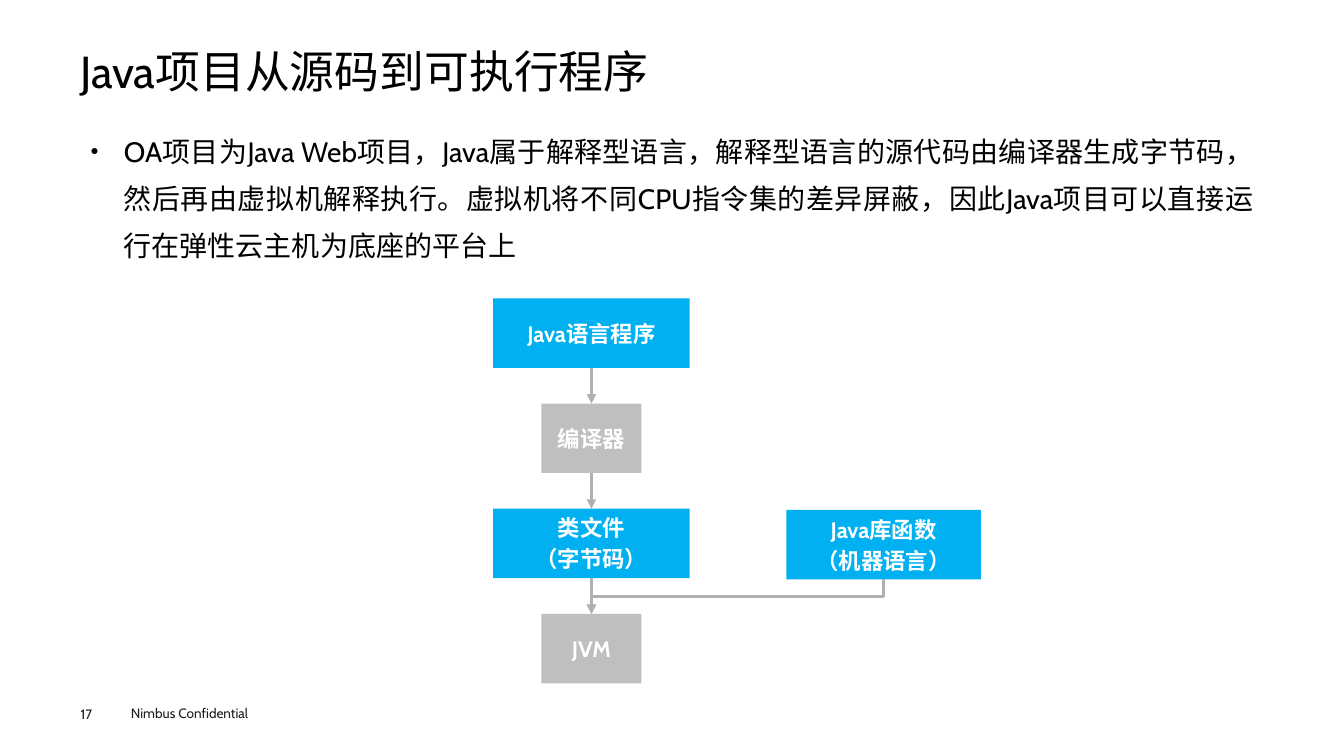
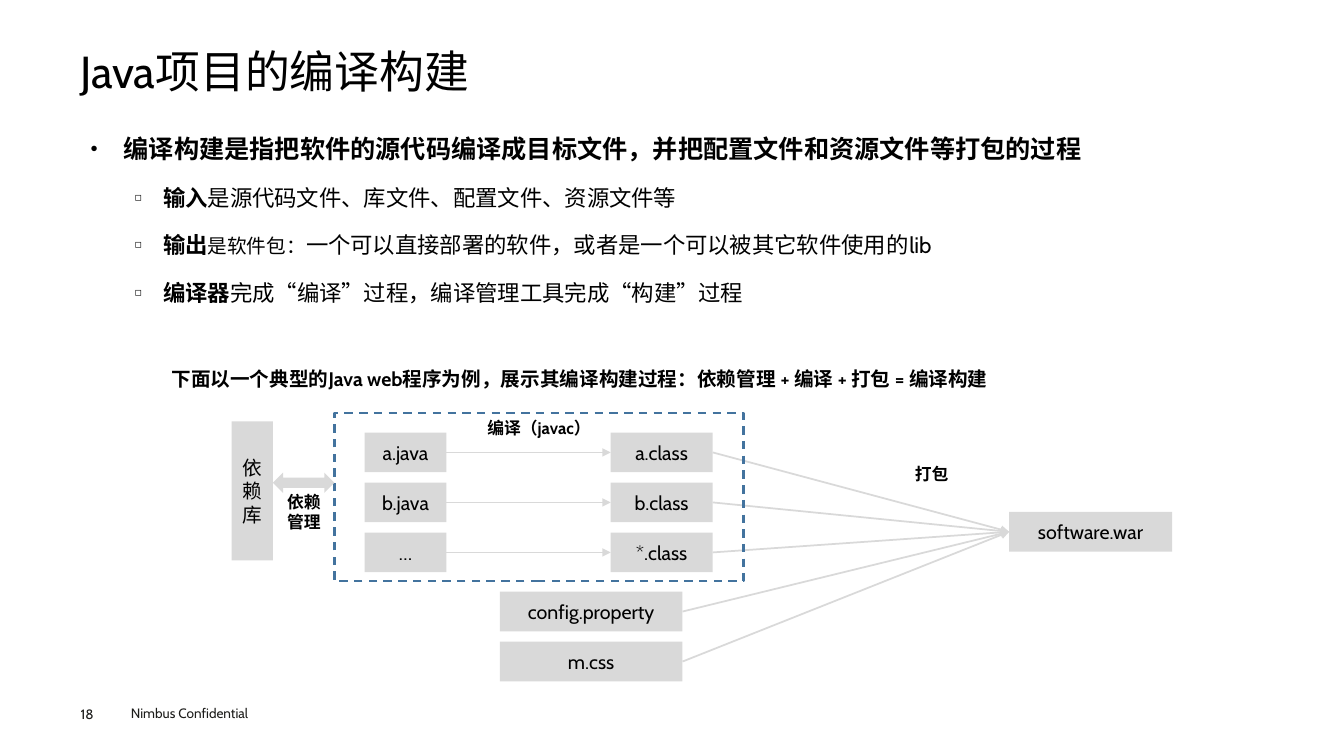
from dataclasses import dataclass
from pptx import Presentation
from pptx import util as u
from pptx.dml.color import RGBColor
from pptx.enum import dml, lang, shapes, text
from pptx.oxml import parse_xml
from pptx.oxml.ns import nsdecls

Cm, Pt = u.Cm, u.Pt
LEFT, MID = text.PP_ALIGN.LEFT, text.PP_ALIGN.CENTER
FULL = text.PP_ALIGN.JUSTIFY
TOP, CORE = text.MSO_ANCHOR.TOP, text.MSO_ANCHOR.MIDDLE
RECT = shapes.MSO_SHAPE.RECTANGLE
ELBOW, LINE = shapes.MSO_CONNECTOR.ELBOW, shapes.MSO_CONNECTOR.STRAIGHT


@dataclass(frozen=True)
class Theme:
    font: str = "Cabin"
    ink: str = "000000"
    foot: str = "1D1D1B"
    white: str = "FFFFFF"
    blue: str = "00B0F0"
    gray: str = "BFBFBF"
    wire: str = "B0B0B0"
    pale: str = "D9D9D9"
    dash: str = "43739E"
    title: float = 32
    lead: float = 20
    head: float = 18
    body: float = 16
    small: float = 14
    label: float = 12
    page: float = 9.7


T = Theme()
# Per list level: bullet, left indent, hanging indent, space before
LEVELS = [("●", 0.84, 0.84, 7.9), ("◻", 1.83, 0.71, 7.2)]


def tint(code):
    return RGBColor.from_string(code)


def write(para, words, size, color=T.ink, bold=False):
    run = para.add_run()
    run.text = words
    font = run.font
    font.name, font.size, font.bold = T.font, Pt(size), bold
    font.color.rgb = tint(color)
    font.language_id = lang.MSO_LANGUAGE_ID.SIMPLIFIED_CHINESE


def fill_text(frame, lines, size, color=T.ink, bold=False, align=MID,
              anchor=CORE, gap=0):
    """Put one paragraph per line into the frame."""
    frame.word_wrap = True
    frame.vertical_anchor = anchor
    for i, line in enumerate(lines):
        para = frame.add_paragraph() if i else frame.paragraphs[0]
        para.alignment = align
        if i and gap:
            para.space_before = Pt(gap)
        write(para, line, size, color, bold)


def add_text(slide, box, words="", size=T.body, inset=False, **style):
    frame = slide.shapes.add_textbox(*map(Cm, box)).text_frame
    frame.word_wrap = True
    if not inset:
        frame.margin_left = frame.margin_right = 0
        frame.margin_top = frame.margin_bottom = 0
    if words:
        fill_text(frame, [words], size, **style)
    return frame


def add_box(slide, box, fill=None, kind=RECT):
    shape = slide.shapes.add_shape(kind, *map(Cm, box))
    shape.shadow.inherit = False
    shape.line.fill.background()
    if fill:
        shape.fill.solid()
        shape.fill.fore_color.rgb = tint(fill)
    else:
        shape.fill.background()
    return shape


def add_arrow(slide, start, end, color, width, kind=LINE):
    link = slide.shapes.add_connector(kind, *map(Cm, start + end))
    link.line.color.rgb = tint(color)
    link.line.width = Pt(width)
    link.line._get_or_add_ln().append(
        parse_xml(f'<a:tailEnd {nsdecls("a")} type="triangle"/>'))
    link._element.spPr.append(parse_xml(f'<a:effectLst {nsdecls("a")}/>'))
    return link


def add_bend(slide, start, end, color, width):
    """Elbow arrow that leaves downwards and ends to the lower left."""
    (x1, y1), (x2, y2) = start, end
    mid_x, mid_y = (x1 + x2) / 2, (y1 + y2) / 2
    half_w, half_h = (y2 - y1) / 2, (x1 - x2) / 2
    link = add_arrow(slide, (mid_x - half_w, mid_y - half_h),
                     (mid_x + half_w, mid_y + half_h), color, width, ELBOW)
    link._element.spPr.xfrm.set("rot", str(90 * 60000))


def add_page(deck, number, title):
    """Blank slide with the shared title, page number and footer."""
    slide = deck.slides.add_slide(deck.slide_layouts[6])
    foot = dict(size=T.page, color=T.foot, align=LEFT, anchor=TOP)
    add_text(slide, (3.05, 17.65, 5, 0.69), "Nimbus Confidential",
             inset=True, **foot)
    add_text(slide, (2.03, 17.78, 1.4, 0.41), str(number), **foot)
    head = add_text(slide, (2.03, 1.25, 29.8, 1.35), title, T.title,
                    align=LEFT, anchor=TOP)
    head.paragraphs[0].line_spacing = 0.9
    return slide


def add_list(slide, box, items):
    """Bulleted text; an item is a level and its (words, size, bold) runs."""
    frame = add_text(slide, box, inset=True)
    for i, (level, runs) in enumerate(items):
        mark, left, hang, gap = LEVELS[level]
        para = frame.add_paragraph() if i else frame.paragraphs[0]
        props = para._p.get_or_add_pPr()
        props.set("marL", str(Cm(left)))
        props.set("indent", str(-Cm(hang)))
        for tag in ('buSzPct {} val="50000"', 'buFont {} typeface="Arial"',
                    f'buChar {{}} char="{mark}"'):
            props.append(parse_xml(f'<a:{tag.format(nsdecls("a"))}/>'))
        para.level = level
        para.alignment = FULL
        para.line_spacing = 1.4
        if i:
            para.space_before = Pt(gap)
        for words, size, bold in runs:
            write(para, words, size, bold=bold)


def draw_flow(slide, left, top):
    """Column of steps, with a library joining the last arrow."""
    wide, slim, high, pitch = 4.95, 2.52, 1.75, 2.65
    axis = left + wide / 2
    steps = [(["Java语言程序"], wide, T.blue), (["编译器"], slim, T.gray),
             (["类文件", "（字节码）"], wide, T.blue), (["JVM"], slim, T.gray)]
    side = left + 7.39, top + 2 * pitch + 0.03

    def add_step(x, y, width, lines, fill):
        shape = add_box(slide, (x, y, width, high), fill)
        fill_text(shape.text_frame, lines, T.body, T.white, True, gap=3)

    for i, (lines, width, fill) in enumerate(steps):
        y = top + i * pitch
        add_step(axis - width / 2, y, width, lines, fill)
        if i:
            add_arrow(slide, (axis, y - pitch + high), (axis, y), T.wire, 2.25)
    add_step(*side, 4.9, ["Java库函数", "（机器语言）"], T.blue)
    add_bend(slide, (side[0] + 2.45, side[1] + high),
             (axis, top + 3 * pitch), T.wire, 2.25)


def draw_build(slide, left, top):
    """Sources compiled to classes, then packed with the resources."""
    high, pitch = 1, 1.26

    def place(x, y, w, h):
        return left + x, top + y, w, h

    def add_file(x, y, width, words, tall=high):
        box = place(x, y, width, tall)
        fill_text(add_box(slide, box, T.pale).text_frame, [words], T.small)
        return box

    def link(start, goal):
        """Join the right side of one box to the left side of another."""
        add_arrow(slide, (start[0] + start[2], start[1] + start[3] / 2),
                  (goal[0], goal[1] + goal[3] / 2), T.pale, 1.25)

    head = add_text(slide, place(0, 0, 22.68, 1),
                    "下面以一个典型的Java web程序为例，展示其编译构建过程："
                    "依赖管理 + 编译 + 打包 = 编译构建",
                    T.small, bold=True, align=LEFT)
    head.paragraphs[0].line_spacing = 1.5

    goal = add_file(21.11, 4.01, 4.11, "software.war")
    parts = []
    pairs = [("a.java", "a.class"), ("b.java", "b.class"), ("…", "*.class")]
    for i, (source, output) in enumerate(pairs):
        y = 2.01 + i * pitch
        start = add_file(4.87, y, 2.06, source)
        parts.append(add_file(11.07, y, 2.57, output))
        link(start, parts[-1])
    for i, name in enumerate(["config.property", "m.css"]):
        parts.append(add_file(8.28, 6.02 + i * pitch, 4.6, name))
    for part in parts:
        link(part, goal)

    frame = add_box(slide, place(4.11, 1.52, 10.31, 4.24))
    frame.line.color.rgb = tint(T.dash)
    frame.line.width = Pt(1.5)
    frame.line.dash_style = dml.MSO_LINE.DASH
    fill_text(frame.text_frame, ["编译（javac）"], T.label, bold=True,
              anchor=TOP)

    add_file(1.52, 1.73, 1.04, "依赖库", 3.5)
    add_box(slide, place(2.56, 3.02, 1.55, 0.51), T.pale,
            shapes.MSO_SHAPE.LEFT_RIGHT_ARROW)
    for box, words in [((2.77, 3.51, 1.14, 1), "依赖管理"),
                       ((18.64, 2.79, 1.04, 0.51), "打包")]:
        add_text(slide, place(*box), words, T.label, bold=True)


def main():
    deck = Presentation()
    deck.slide_width, deck.slide_height = Cm(33.87), Cm(19.05)
    body = (2.03, 2.92, 29.8, 13.56)

    slide = add_page(deck, 17, "Java项目从源码到可执行程序")
    add_list(slide, body, [(0, [(
        "OA项目为Java Web项目，Java属于解释型语言，解释型语言的源代码由编译器"
        "生成字节码，然后再由虚拟机解释执行。虚拟机将不同CPU指令集的差异屏蔽，"
        "因此Java项目可以直接运行在弹性云主机为底座的平台上", T.lead, False)])])
    draw_flow(slide, 12.43, 7.52)

    slide = add_page(deck, 18, "Java项目的编译构建")
    add_list(slide, body, [
        (0, [("编译构建是指把软件的源代码编译成目标文件，"
              "并把配置文件和资源文件等打包的过程", T.head, True)]),
        (1, [("输入", T.body, True),
             ("是源代码文件、库文件、配置文件、资源文件等", T.body, False)]),
        (1, [("输出", T.body, True), ("是软件包：", T.small, False),
             ("一个可以直接部署的软件，或者是一个可以被其它软件使用的lib",
              T.body, False)]),
        (1, [("编译器", T.body, True),
             ("完成“编译”过程，编译管理工具完成“构建”过程", T.body, False)]),
    ])
    draw_build(slide, 4.32, 8.89)
    deck.save("out.pptx")


if __name__ == "__main__":
    main()
